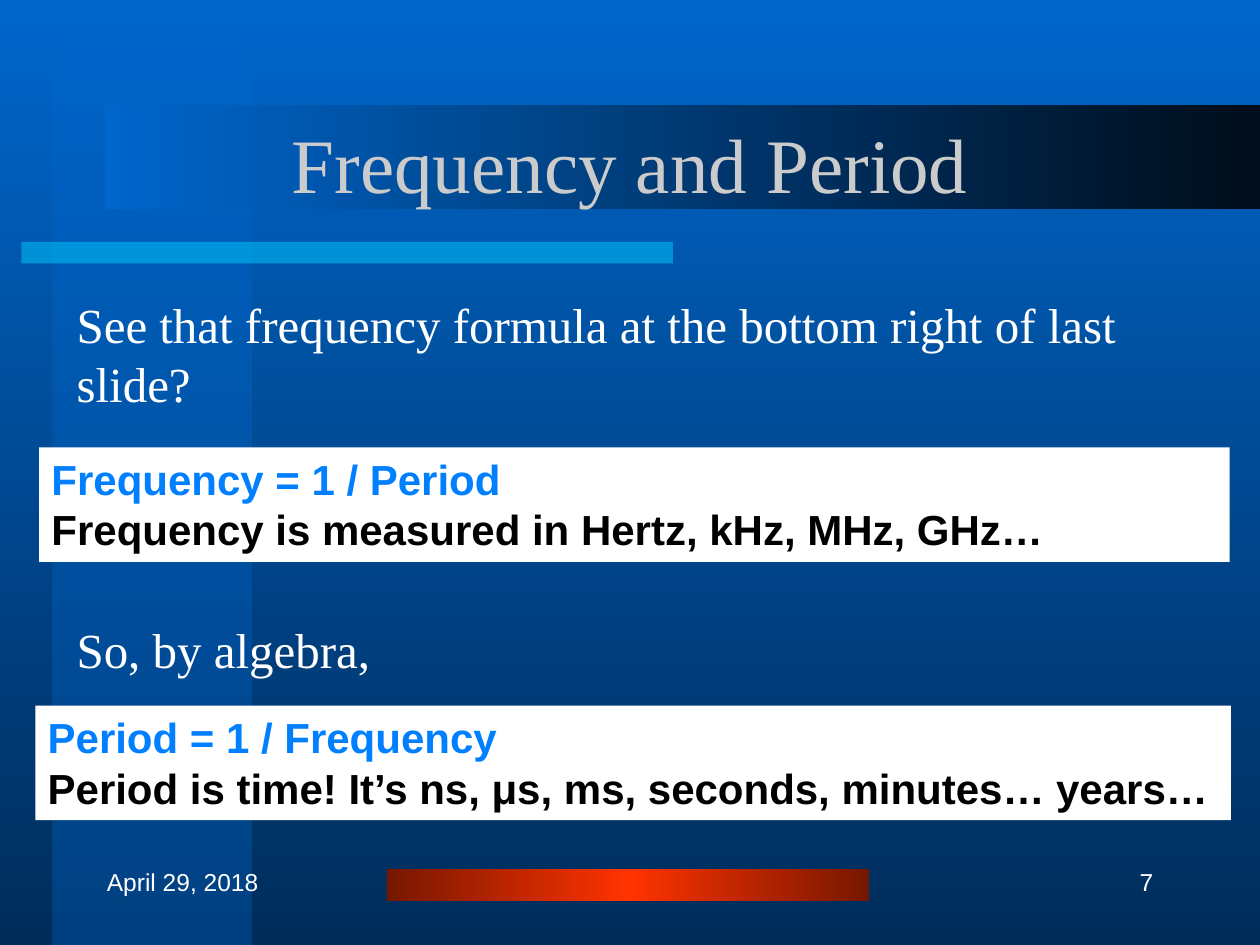
from pptx import Presentation
from pptx.dml.color import RGBColor
from pptx.enum.shapes import MSO_SHAPE
from pptx.enum.text import MSO_ANCHOR, PP_ALIGN
from pptx.oxml.ns import qn
from pptx.util import Inches, Pt
from lxml.etree import SubElement

WHITE, BLACK, BLUE, ACCENT = "FFFFFF", "000000", "0066CC", "0080FF"
SERIF = {"name": "Times New Roman", "size": Pt(28), "bold": False}
HEADING = {**SERIF, "size": Pt(44)}
SANS = {"name": "Arial", "size": Pt(24), "bold": True}
FOOTER = {"name": "Arial", "size": Pt(14), "bold": False}

BACKGROUND = [BLUE, "002D5A"]
BANDS = [
    ((0.42, 0, 1.58, 7.5), [BLUE, "0053A6"], 270, 50),
    ((0.17, 1.92, 5.17, 0.17), ["00CCFF"], 0, 50),
    ((3.07, 6.9, 3.83, 0.25), ["761700", "FF3300", "761700"], 0, 100),
    ((0.83, 0.83, 9.17, 0.83), [BLUE, "000D1A"], 0, 100),
]
TITLE = ("Frequency and Period", (0.75, 0.67, 8.5, 1.25))
FOOTERS = [
    ("April 29, 2018", 0.75, PP_ALIGN.LEFT),
    ("7", 7.17, PP_ALIGN.RIGHT),
]
STATEMENTS = [
    ("See that frequency formula at the bottom right of last slide?", 2.29, 1.04),
    ("So, by algebra,", 4.87, 0.57),
]
FORMULAS = [
    (["Frequency = 1 / Period",
      "Frequency is measured in Hertz, kHz, MHz, GHz…"], (0.31, 3.55, 9.45, 0.91)),
    (["Period = 1 / Frequency",
      "Period is time! It’s ns, μs, ms, seconds, minutes… years…"], (0.28, 5.6, 9.49, 0.91)),
]


def color(value):
    return RGBColor.from_string(value)


def set_alpha(element, opacity):
    if opacity < 100:
        for tag in element.iter(qn("a:srgbClr")):
            SubElement(tag, qn("a:alpha")).set("val", str(opacity * 1000))


def set_gradient(fill, element, colors, angle):
    fill.gradient()
    fill.gradient_angle = angle
    stops = next(element.iter(qn("a:gsLst")))
    for stop in list(stops):
        stops.remove(stop)
    for index, value in enumerate(colors):
        stop = SubElement(stops, qn("a:gs"))
        stop.set("pos", str(index * 100000 // (len(colors) - 1)))
        SubElement(stop, qn("a:srgbClr")).set("val", value)


def add_rectangle(slide, box):
    shape = slide.shapes.add_shape(MSO_SHAPE.RECTANGLE, *map(Inches, box))
    shape.shadow.inherit = False
    shape.line.fill.background()
    return shape


def add_band(slide, box, colors, angle, opacity):
    shape = add_rectangle(slide, box)
    if len(colors) > 1:
        set_gradient(shape.fill, shape.element, colors, angle)
    else:
        shape.fill.solid()
        shape.fill.fore_color.rgb = color(colors[0])
    set_alpha(shape.element, opacity)


def write(shape, lines, font, colors, align=PP_ALIGN.LEFT, anchor=MSO_ANCHOR.TOP):
    frame = shape.text_frame
    frame.word_wrap = True
    frame.vertical_anchor = anchor
    frame.text = "\n".join(lines)
    for paragraph, value in zip(frame.paragraphs, colors):
        paragraph.alignment = align
        run = paragraph.runs[0]
        for key, setting in font.items():
            setattr(run.font, key, setting)
        run.font.color.rgb = color(value)


def add_text(slide, text, box, font, **layout):
    shape = slide.shapes.add_textbox(*map(Inches, box))
    write(shape, [text], font, [WHITE], **layout)


def main():
    presentation = Presentation()
    presentation.slide_width, presentation.slide_height = Inches(10), Inches(7.5)
    slide = presentation.slides.add_slide(presentation.slide_layouts[5])
    set_gradient(slide.background.fill, slide.element, BACKGROUND, 270)
    for band in BANDS:
        add_band(slide, *band)

    title = slide.shapes.title
    text, box = TITLE
    for key, value in zip(("left", "top", "width", "height"), box):
        setattr(title, key, Inches(value))
    write(title, [text], HEADING, ["CBCBCB"], PP_ALIGN.CENTER, MSO_ANCHOR.MIDDLE)
    title.element.getparent().append(title.element)

    for text, left, align in FOOTERS:
        add_text(slide, text, (left, 6.75, 2.08, 0.5), FOOTER,
                 align=align, anchor=MSO_ANCHOR.MIDDLE)
    for text, top, height in STATEMENTS:
        add_text(slide, text, (0.51, top, 8.86, height), SERIF)
    for lines, box in FORMULAS:
        panel = add_rectangle(slide, box)
        panel.fill.solid()
        panel.fill.fore_color.rgb = color(WHITE)
        write(panel, lines, SANS, [ACCENT, BLACK])
    presentation.save("out.pptx")


if __name__ == "__main__":
    main()
